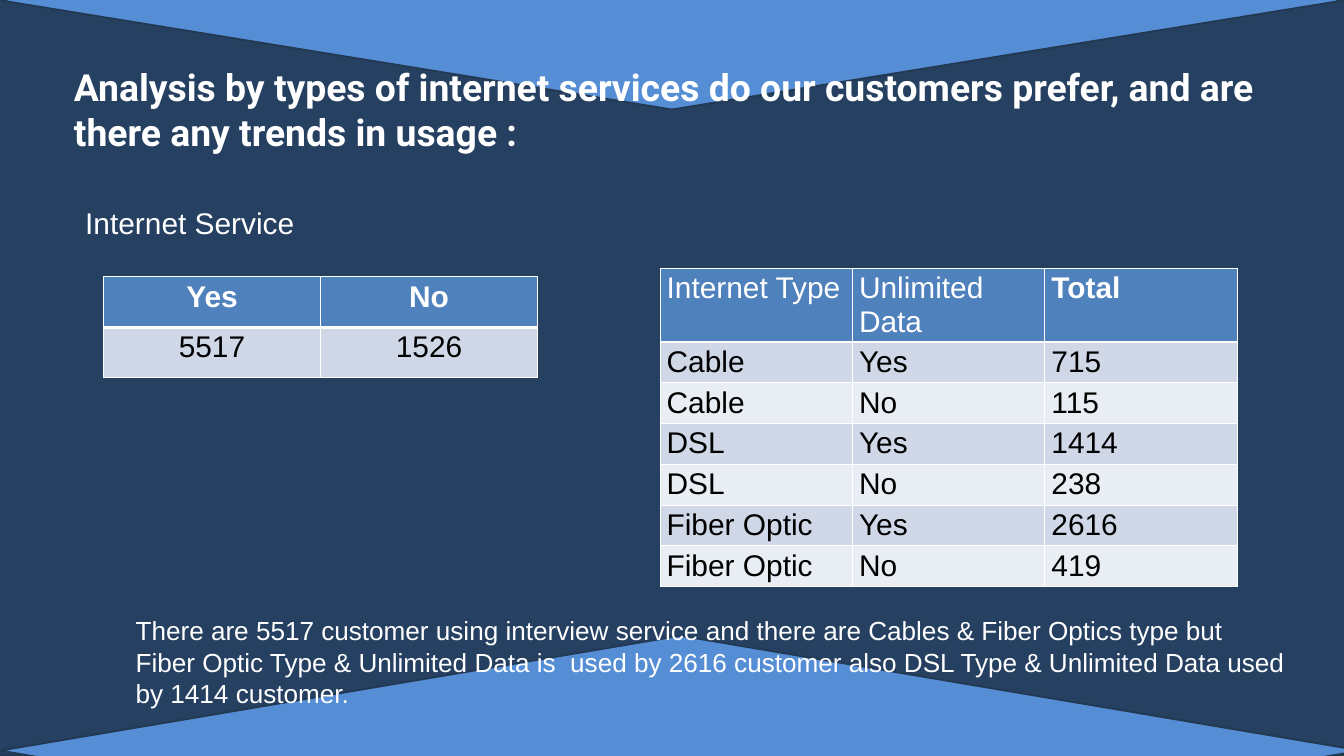
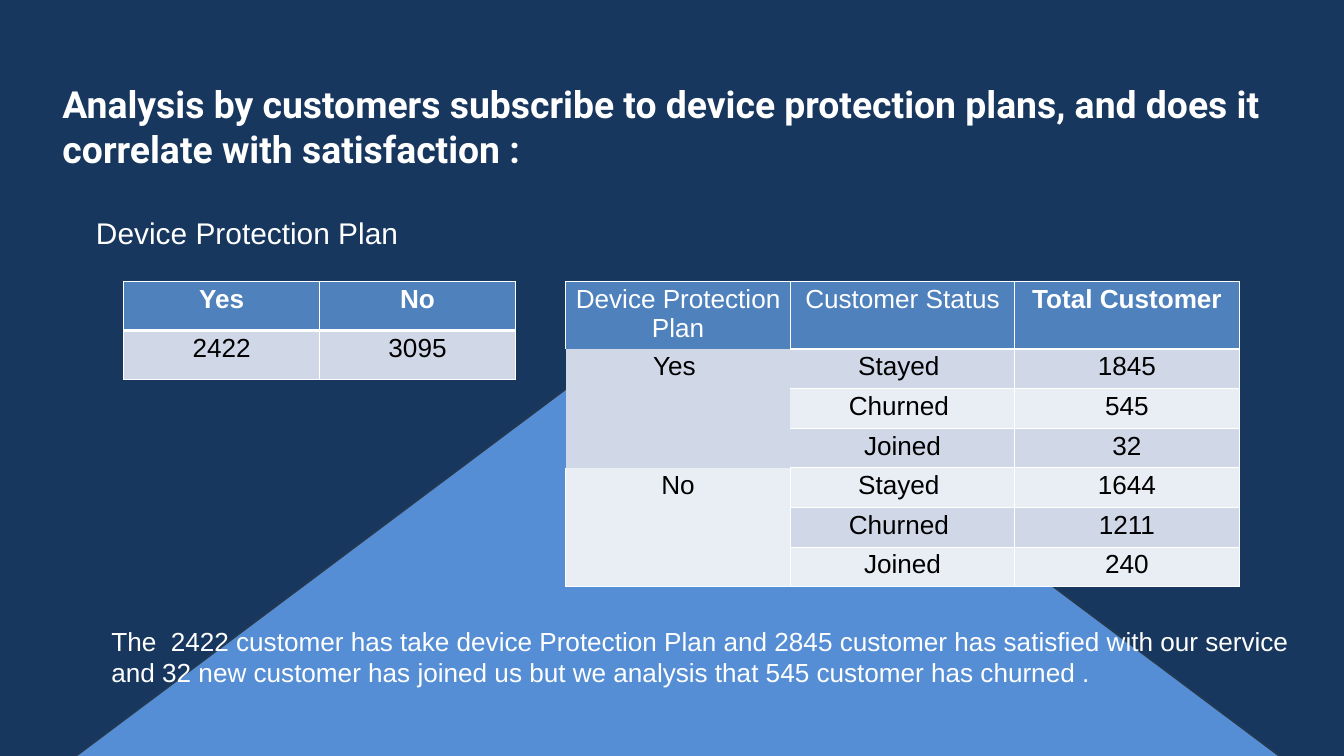
"""Build two slides on internet services and device protection plans."""
import pptx
import pptx.dml.color
import pptx.enum.shapes
import pptx.enum.text
import pptx.oxml.ns
import pptx.util
from lxml import etree

Inches = pptx.util.Inches
Pt = pptx.util.Pt
Kind = pptx.enum.shapes.MSO_SHAPE
Align = pptx.enum.text.PP_ALIGN

COLORS = {
    "white": "FFFFFF", "black": "000000", "navy": "254061", "deep": "17375E",
    "sky": "558ED5", "edge": "233953", "head": "4F81BD", "odd": "D0D8E8", "even": "E9EDF4",
}
FORMATS = {
    "title": {"name": "Roboto", "size": Pt(40), "bold": True},
    "label": {"name": "Arial", "size": Pt(32), "bold": False},
    "note": {"name": "Arial", "size": Pt(28), "bold": False},
}
SIDES = {"L": (0, -1), "R": (0, 1), "T": (-1, 0), "B": (1, 0)}


def color(name):
    return pptx.dml.color.RGBColor.from_string(COLORS[name])


class Deck:
    def __init__(self, width, height):
        self.prs = pptx.Presentation()
        self.prs.slide_width = Inches(width)
        self.prs.slide_height = Inches(height)
        self.slide = None

    def page(self):
        self.slide = self.prs.slides.add_slide(self.prs.slide_layouts[5])

    def shape(self, kind, box, fill):
        shape = self.slide.shapes.add_shape(kind, *map(Inches, box))
        shape.shadow.inherit = False
        shape.fill.solid()
        shape.fill.fore_color.rgb = color(fill)
        shape.line.color.rgb = color("edge")
        shape.line.width = Pt(2)

    def put(self, frame, text, style, ink="white", align=Align.LEFT, **extra):
        para = frame.paragraphs[0]
        para.alignment = align
        run = para.add_run()
        run.text = text
        for key, value in {**FORMATS[style], **extra}.items():
            setattr(run.font, key, value)
        run.font.color.rgb = color(ink)

    def fit(self, frame):
        values = {
            "word_wrap": True,
            "auto_size": pptx.enum.text.MSO_AUTO_SIZE.NONE,
            "vertical_anchor": pptx.enum.text.MSO_ANCHOR.MIDDLE,
        }
        for key, value in values.items():
            setattr(frame, key, value)

    def title(self, box, text):
        title = self.slide.shapes.title
        for key, value in zip(("left", "top", "width", "height"), box):
            setattr(title, key, Inches(value))
        self.slide.shapes._spTree.append(title._element)
        self.fit(title.text_frame)
        self.put(title.text_frame, text, "title")

    def text(self, box, text, style):
        frame = self.slide.shapes.add_textbox(*map(Inches, box)).text_frame
        self.fit(frame)
        self.put(frame, text, style)

    def border(self, cell, side, width):
        props = cell._tc.get_or_add_tcPr()
        line = etree.SubElement(props, pptx.oxml.ns.qn(f"a:ln{side}"), w=str(Pt(width)))
        if not width:
            etree.SubElement(line, pptx.oxml.ns.qn("a:noFill"))
            return
        fill = etree.SubElement(line, pptx.oxml.ns.qn("a:solidFill"))
        etree.SubElement(fill, pptx.oxml.ns.qn("a:srgbClr"), val=COLORS["white"])

    def table(self, box, rows, head, style, align=Align.CENTER, bold=0, spans=(), bare=()):
        count = len(rows[0])
        table = self.slide.shapes.add_table(len(rows), count, *map(Inches, box)).table
        for col in table.columns:
            col.width = Inches(box[2] / count)
        rest = (box[3] - head) / (len(rows) - 1)
        for r, values in enumerate(rows):
            table.rows[r].height = Inches(rest if r else head)
            fill = ("even", "odd")[r % 2] if r else "head"
            for c, value in enumerate(values):
                cell = table.cell(r, c)
                for side, (down, right) in SIDES.items():
                    plain = (r, c) in bare or (r + down, c + right) in bare
                    thick = 3 if r == 0 and side == "B" else 1
                    self.border(cell, side, 0 if plain else thick)
                cell.fill.solid()
                cell.fill.fore_color.rgb = color(fill)
                if value:
                    self.put(cell.text_frame, value, style, "black" if r else "white",
                             align, bold=r == 0 and c >= bold)
        for first, last in spans:
            table.cell(first, 0).merge(table.cell(last, 0))


def main():
    deck = Deck(20, 11.25)

    deck.page()
    deck.shape(Kind.RECTANGLE, (-0.23, -0.02, 20.98, 11.25), "navy")
    deck.shape(Kind.FLOWCHART_DECISION, (0, 9.46, 20.25, 3.42), "sky")
    deck.shape(Kind.FLOWCHART_DECISION, (0, -1.62, 20, 3.25), "sky")
    deck.title((1, 0.52, 18, 2.21), "Analysis by types of internet services do our customers "
               "prefer, and are there any trends in usage :")
    deck.text((1.17, 2.72, 5.83, 1.17), "Internet Service", "label")
    deck.table((1.54, 4.12, 6.46, 1.5), [("Yes", "No"), ("5517", "1526")], 0.75, "label")
    usage = [
        ("Internet Type", "Unlimited Data", "Total"),
        ("Cable", "Yes", "715"),
        ("Cable", "No", "115"),
        ("DSL", "Yes", "1414"),
        ("DSL", "No", "238"),
        ("Fiber Optic", "Yes", "2616"),
        ("Fiber Optic", "No", "419"),
    ]
    deck.table((9.82, 3.99, 8.59, 4.74), usage, 1.1, "label", Align.LEFT, bold=2)
    deck.text((1.92, 8.96, 17.33, 1.77), "There are 5517 customer using interview service and "
              "there are Cables & Fiber Optics type but Fiber Optic Type & Unlimited Data is "
              " used by 2616 customer also DSL Type & Unlimited Data used by 1414 customer.",
              "note")

    deck.page()
    deck.shape(Kind.RECTANGLE, (-0.42, -0.12, 20.62, 11.38), "deep")
    deck.title((0.83, 0.88, 18.5, 2), "Analysis by customers subscribe to device protection "
               "plans, and does it correlate with satisfaction :")
    deck.shape(Kind.FLOWCHART_DECISION, (-0.04, 4.54, 20.25, 15.17), "sky")
    deck.table((1.84, 4.19, 5.83, 1.46), [("Yes", "No"), ("2422", "3095")], 0.73, "note")
    deck.text((1.33, 3, 7.08, 0.92), "Device Protection Plan", "label")
    plans = [
        ("Device Protection Plan", "Customer Status", "Total Customer"),
        ("Yes ", "Stayed ", "1845"),
        ("", "Churned ", "545"),
        ("", "Joined", "32"),
        ("No", "Stayed ", "1644"),
        ("", "Churned ", "1211"),
        ("", "Joined", "240"),
    ]
    deck.table((8.42, 4.19, 10.02, 4.54), plans, 1, "note", bold=2,
               spans=[(1, 3), (4, 6)], bare=[(1, 0), (2, 0), (3, 0)])
    deck.text((1.56, 9.04, 17.77, 1.46), "The  2422 customer has take device Protection Plan "
              "and 2845 customer has satisfied with our service and 32 new customer has joined "
              "us but we analysis that 545 customer has churned .", "note")

    deck.prs.save("out.pptx")


if __name__ == "__main__":
    main()
